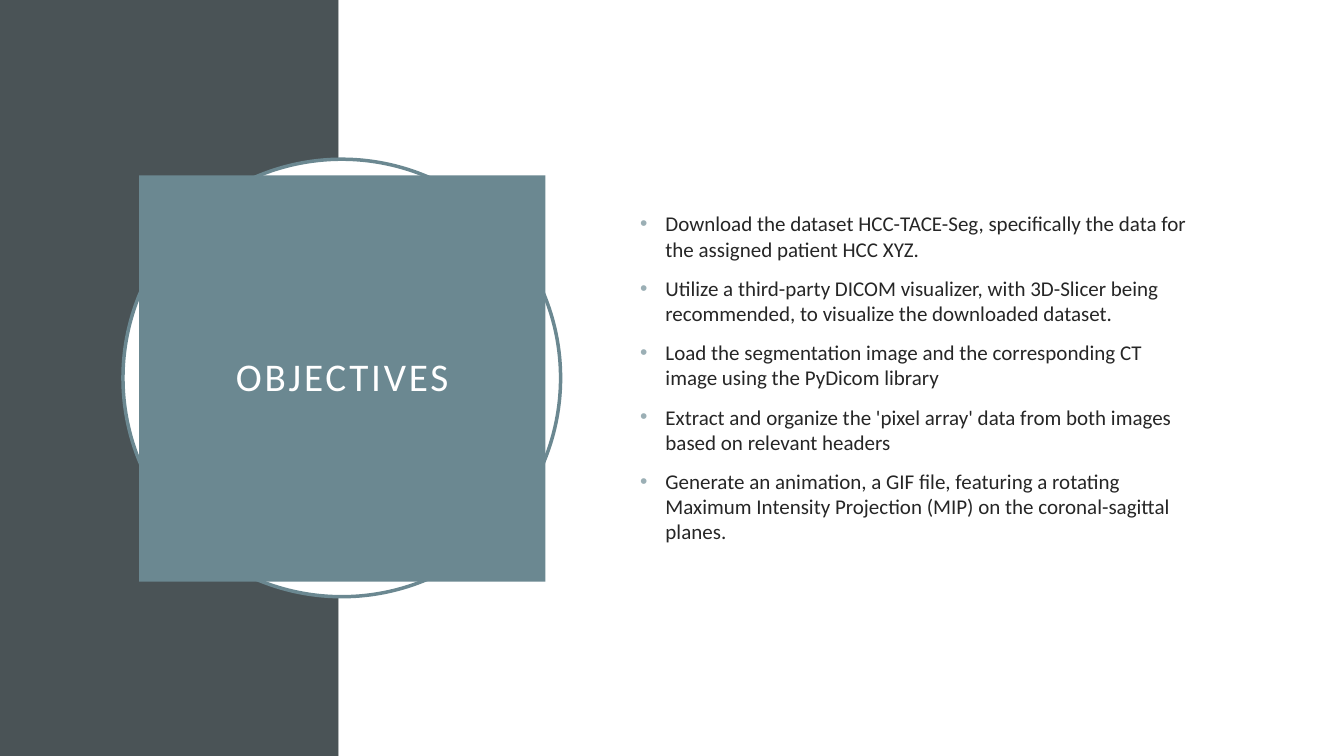
import pptx
import pptx.dml.color
import pptx.enum.shapes
import pptx.enum.text
import pptx.oxml.ns
import pptx.util
from lxml import etree

Inches = pptx.util.Inches
Pt = pptx.util.Pt
SHAPE = pptx.enum.shapes.MSO_SHAPE
DARK, TEAL, PALE, WHITE, INK = "4A5356", "6B8891", "9BAFB5", "FFFFFF", "262626"

GOALS = [
    "Download the dataset HCC-TACE-Seg, specifically the data for the assigned patient HCC XYZ.",
    "Utilize a third-party DICOM visualizer, with 3D-Slicer being recommended, to visualize the downloaded dataset.",
    "Load the segmentation image and the corresponding CT image using the PyDicom library",
    "Extract and organize the 'pixel array' data from both images based on relevant headers",
    "Generate an animation, a GIF file, featuring a rotating Maximum Intensity Projection (MIP) on the coronal-sagittal planes.",
]


def paint(target, color):
    target.solid()
    target.fore_color.rgb = pptx.dml.color.RGBColor.from_string(color)


class Deck:
    """Holds the style and the current slide, and adds each kind of element."""

    def __init__(self, show):
        self.font = "Calibri"
        self.slide = show.slides.add_slide(show.slide_layouts[1])

    def shape(self, kind, box, fill, line=None):
        item = self.slide.shapes.add_shape(kind, *map(Inches, box))
        item.shadow.inherit = False
        paint(item.fill, fill)
        if line:
            paint(item.line.fill, line)
            item.line.width = Pt(2.5)
        else:
            item.line.fill.background()

    def place(self, holder, box):
        holder.left, holder.top, holder.width, holder.height = map(Inches, box)
        holder.element.getparent().append(holder.element)
        frame = holder.text_frame
        frame.word_wrap = True
        frame.auto_size = pptx.enum.text.MSO_AUTO_SIZE.NONE
        frame.vertical_anchor = pptx.enum.text.MSO_ANCHOR.MIDDLE
        return frame

    def style(self, para, size, color):
        para.font.name = self.font
        para.font.size = Pt(size)
        paint(para.font.fill, color)

    def title(self, text, box):
        holder = self.slide.shapes.title
        paint(holder.fill, TEAL)
        frame = self.place(holder, box)
        frame.margin_left = frame.margin_right = Inches(0.2)
        frame.margin_top = frame.margin_bottom = Inches(0.2)
        frame.text = text
        para = frame.paragraphs[0]
        para.alignment = pptx.enum.text.PP_ALIGN.CENTER
        para.line_spacing = 0.9
        self.style(para, 28, WHITE)
        para.runs[0]._r.get_or_add_rPr().set("spc", "200")

    def bullet(self, para):
        props = para._p.get_or_add_pPr()
        props.set("marL", str(Inches(0.25 + 0.13)))
        props.set("indent", str(-Inches(0.25)))
        tint = etree.SubElement(props, pptx.oxml.ns.qn("a:buClr"))
        etree.SubElement(tint, pptx.oxml.ns.qn("a:srgbClr"), val=PALE)
        etree.SubElement(props, pptx.oxml.ns.qn("a:buFont"), typeface="Arial")
        etree.SubElement(props, pptx.oxml.ns.qn("a:buChar"), char="•")

    def list(self, items, box):
        frame = self.place(self.slide.placeholders[1], box)
        frame.text = "\n".join(items)
        for i, para in enumerate(frame.paragraphs):
            self.bullet(para)
            para.space_before = Pt(10 if i else 0)
            self.style(para, 15, INK)


def main():
    show = pptx.Presentation()
    show.slide_width, show.slide_height = Inches(13.33), Inches(7.5)
    deck = Deck(show)
    deck.shape(SHAPE.RECTANGLE, (0, 0, 3.36, 7.5), DARK)
    deck.shape(SHAPE.RECTANGLE, (3.36, 0, 9.97, 7.5), WHITE)
    deck.shape(SHAPE.OVAL, (1.22, 1.58, 4.34, 4.34), WHITE, TEAL)
    deck.title("OBJECTIVES", (1.38, 1.74, 4.03, 4.03))
    deck.list(GOALS, (6.12, 1.53, 5.82, 4.43))
    show.save("out.pptx")


if __name__ == "__main__":
    main()
